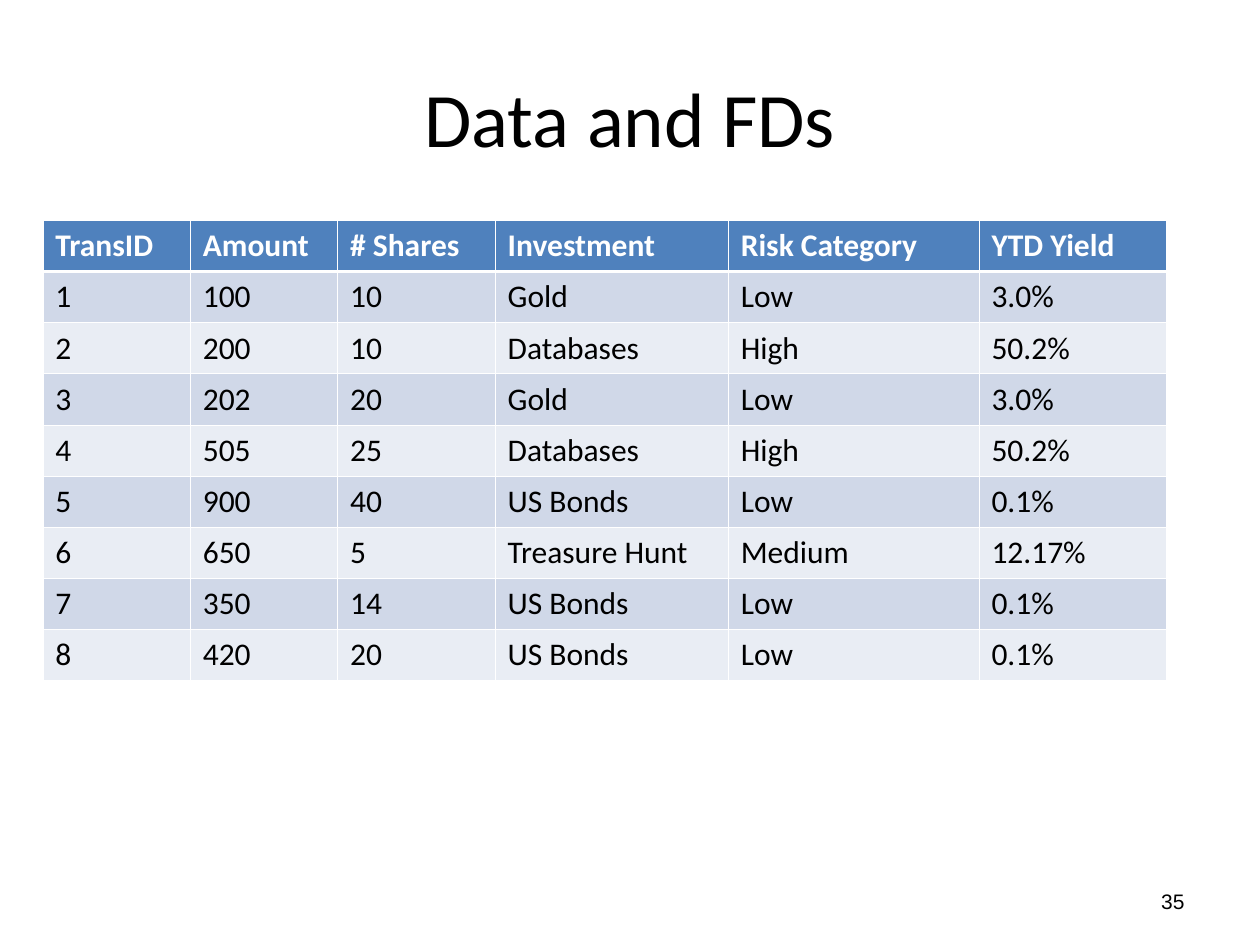
import lxml.etree
import pptx
import pptx.dml.color
import pptx.enum.text
import pptx.oxml.ns
import pptx.util

Inches = pptx.util.Inches
Pt = pptx.util.Pt
Align = pptx.enum.text.PP_ALIGN
Anchor = pptx.enum.text.MSO_ANCHOR

COLORS = {
    "ink": "000000",
    "white": "FFFFFF",
    "head": "4F81BD",
    "odd": "D0D8E8",
    "even": "E9EDF4",
}
THIN, THICK = 0.45, 1.47
WIDTHS = [1.17, 1.17, 1.25, 1.85, 1.99, 1.49]
HEIGHT = 3.65
ROWS = [
    ["TransID", "Amount", "# Shares", "Investment", "Risk Category", "YTD Yield"],
    ["1", "100", "10", "Gold", "Low", "3.0%"],
    ["2", "200", "10", "Databases", "High", "50.2%"],
    ["3", "202", "20", "Gold", "Low", "3.0%"],
    ["4", "505", "25", "Databases", "High", "50.2%"],
    ["5", "900", "40", "US Bonds", "Low", "0.1%"],
    ["6", "650", "5", "Treasure Hunt", "Medium", "12.17%"],
    ["7", "350", "14", "US Bonds", "Low", "0.1%"],
    ["8", "420", "20", "US Bonds", "Low", "0.1%"],
]


def rgb(name):
    return pptx.dml.color.RGBColor.from_string(COLORS[name])


def set_font(par, face, size, color, bold=False):
    par.font.name = face
    par.font.size = Pt(size)
    par.font.bold = bold
    par.font.color.rgb = rgb(color)


def add_text(slide, text, box, face, size, align):
    shape = slide.shapes.add_textbox(*map(Inches, box))
    frame = shape.text_frame
    frame.word_wrap = True
    frame.vertical_anchor = Anchor.MIDDLE
    par = frame.paragraphs[0]
    par.text = text
    par.alignment = align
    set_font(par, face, size, "ink")


def add_edges(cell, top, bottom):
    """Draw white cell borders; must run before the fill is set."""
    props = cell._tc.get_or_add_tcPr()
    qn = pptx.oxml.ns.qn
    for side, width in zip("LRTB", (THIN, THIN, top, bottom)):
        line = lxml.etree.SubElement(props, qn(f"a:ln{side}"), w=str(Pt(width)))
        fill = lxml.etree.SubElement(line, qn("a:solidFill"))
        lxml.etree.SubElement(fill, qn("a:srgbClr"), val=COLORS["white"])


def fill_cell(cell, text, row):
    head = row == 0
    add_edges(cell, THICK if row == 1 else THIN, THICK if head else THIN)
    cell.fill.solid()
    cell.fill.fore_color.rgb = rgb("head" if head else "odd" if row % 2 else "even")
    par = cell.text_frame.paragraphs[0]
    par.text = text
    set_font(par, "Calibri", 18, "white" if head else "ink", head)


def add_grid(slide):
    frame = slide.shapes.add_table(
        len(ROWS), len(WIDTHS), Inches(0.34), Inches(1.75),
        Inches(sum(WIDTHS)), Inches(HEIGHT))
    table = frame.table
    for col, width in zip(table.columns, WIDTHS):
        col.width = Inches(width)
    for r, texts in enumerate(ROWS):
        table.rows[r].height = Inches(HEIGHT / len(ROWS))
        for c, text in enumerate(texts):
            fill_cell(table.cell(r, c), text, r)


def main():
    deck = pptx.Presentation()
    deck.slide_width = Inches(10)
    deck.slide_height = Inches(7.5)
    slide = deck.slides.add_slide(deck.slide_layouts[6])
    add_text(slide, "Data and FDs", (0.5, 0.3, 9, 1.25), "Calibri", 44, Align.CENTER)
    add_grid(slide)
    add_text(slide, "35", (7.17, 6.95, 2.33, 0.4), "Arial", 12, Align.RIGHT)
    deck.save("out.pptx")


if __name__ == "__main__":
    main()
